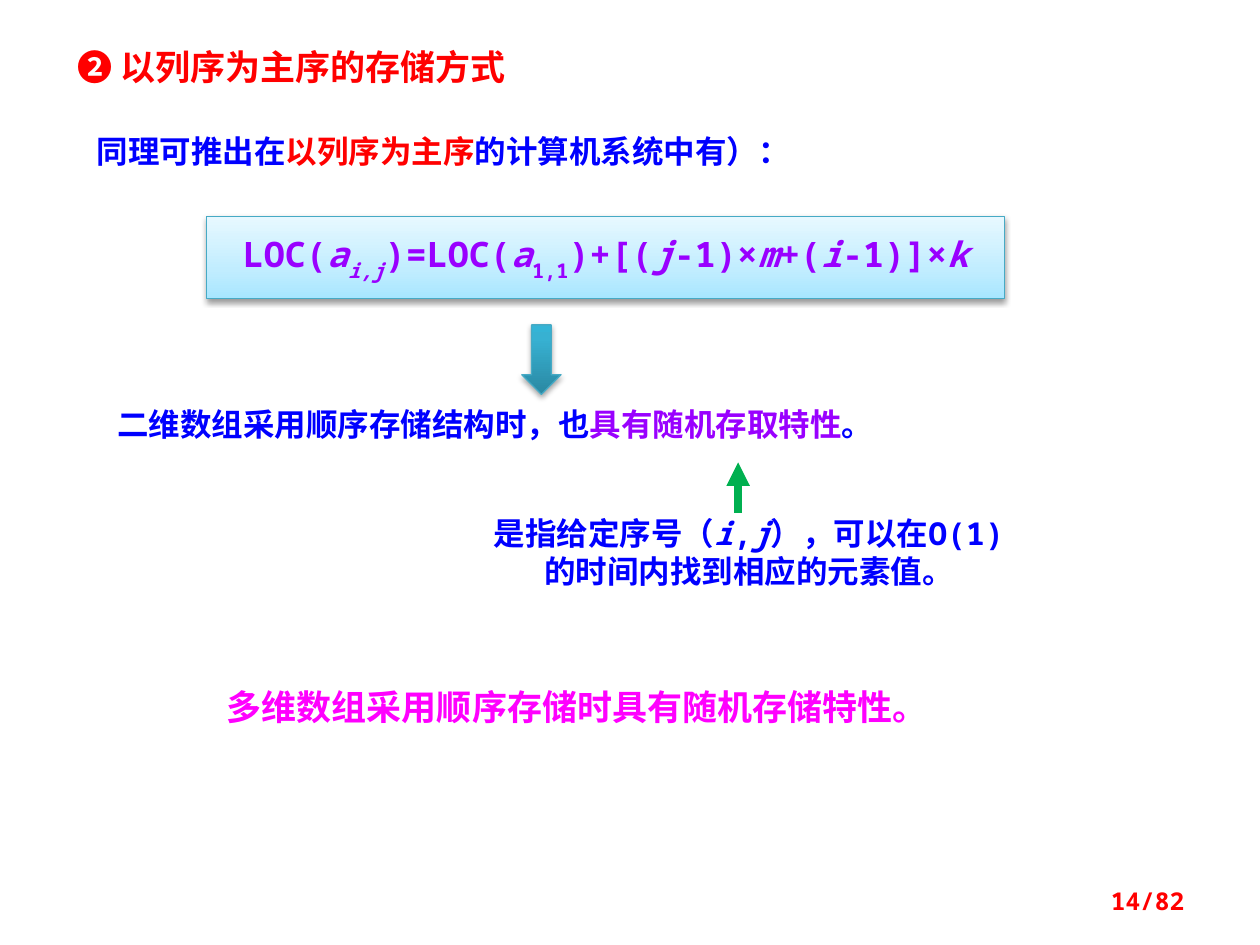
from lxml import etree
from pptx import Presentation
from pptx.dml.color import RGBColor
from pptx.enum import shapes, text
from pptx.oxml.ns import qn
from pptx.util import Cm, Pt

FONT = "Noto Sans Mono"
RED = RGBColor(0xFF, 0x00, 0x00)
BLUE = RGBColor(0x00, 0x00, 0xFF)
PURPLE = RGBColor(0x99, 0x00, 0xFF)
MAGENTA = RGBColor(0xFF, 0x00, 0xFF)
GREEN = RGBColor(0x00, 0xB0, 0x50)
TEAL = RGBColor(0x46, 0xAA, 0xC5)
LEFT, CENTER = text.PP_ALIGN.LEFT, text.PP_ALIGN.CENTER
RIGHT, JUSTIFY = text.PP_ALIGN.RIGHT, text.PP_ALIGN.JUSTIFY

# Content: runs are (text, style); a style is a colour, "italic", "sub" or both
TITLE = [("❷ 以列序为主序的存储方式", RED)]
FORMULA = [
    ("LOC(", ""), ("a", "italic"), ("i,j", "italic sub"), (")=LOC(", ""),
    ("a", "italic"), ("1,1", "sub"), (")+[(", ""), ("j", "italic"),
    ("-1)×", ""), ("m", "italic"), ("+(", ""), ("i", "italic"),
    ("-1)]×", ""), ("k", "italic"),
]
# Text boxes: (left, top, width, height in cm), size, colour, alignment, runs
TEXTS = [
    ((1.7, 2.39, 20.73, 1.09), 18, BLUE, JUSTIFY,
     [("同理可推出在", ""), ("以列序为主序", RED), ("的计算机系统中有）：", "")]),
    ((2.11, 8.05, 20.52, 1.02), 18, BLUE, LEFT,
     [("二维数组采用顺序存储结构时，也", ""), ("具有随机存取特性", PURPLE), ("。", "")]),
    ((9.53, 10.24, 11.13, 1.8), 18, BLUE, CENTER,
     [("是指给定序号（", ""), ("i", "italic"), (",", ""), ("j", "italic"),
      ("），可以在O(1)的时间内找到相应的元素值。", "")]),
    ((4.32, 13.69, 17.5, 1.12), 20, MAGENTA, LEFT,
     [("多维数组采用顺序存储时具有随机存储特性。", "")]),
    ((18.21, 17.65, 5.92, 1.02), 14, RED, RIGHT, [("14/82", "")]),
]
# Shaded shapes: gradient stops run from bottom to top
BOX_STOPS = [(0, "A7E6FF"), (35, "C1EDFF"), (100, "E7F8FF")]
ARROW_STOPS = [(0, "2A88A2"), (80, "37B1D2"), (100, "34B4D6")]


def write(shape, runs, size, color, alignment):
    frame = shape.text_frame
    frame.word_wrap = True
    frame.auto_size = text.MSO_AUTO_SIZE.NONE
    paragraph = frame.paragraphs[0]
    paragraph.alignment = alignment
    paragraph.font.name, paragraph.font.size = FONT, Pt(size)
    paragraph.font.bold, paragraph.font.color.rgb = True, color
    for words, style in runs:
        run = paragraph.add_run()
        run.text = words
        if isinstance(style, RGBColor):
            run.font.color.rgb = style
            continue
        if "italic" in style:
            run.font.italic = True
        if "sub" in style:
            run.font._element.set("baseline", "-30000")
    return paragraph


def add_color(parent, value):
    return etree.SubElement(parent, qn("a:srgbClr"), val=value)


def add_shaded(kind, place, stops, shadow_alpha, distance):
    shape = slide.shapes.add_shape(kind, *map(Cm, place))
    shape.fill.gradient()
    shape.fill.gradient_angle = 90
    stop_list = shape._element.spPr.find(".//" + qn("a:gsLst"))
    for stop in list(stop_list):
        stop_list.remove(stop)
    for position, value in stops:
        add_color(etree.SubElement(stop_list, qn("a:gs"), pos=str(position * 1000)), value)
    shape.line.color.rgb, shape.line.width = TEAL, Pt(0.75)
    shape.shadow.inherit = False
    shadow = etree.SubElement(
        shape._element.spPr.find(qn("a:effectLst")), qn("a:outerShdw"),
        blurRad="40000", dist=str(distance), dir="5400000", rotWithShape="0")
    etree.SubElement(add_color(shadow, "000000"), qn("a:alpha"), val=str(shadow_alpha * 1000))
    return shape


presentation = Presentation()
presentation.slide_width, presentation.slide_height = Cm(25.4), Cm(19.05)
slide = presentation.slides.add_slide(presentation.slide_layouts[5])

# Title
title = slide.shapes.title
title.left, title.top, title.width, title.height = map(Cm, (1.3, 0.79, 11.61, 1.12))
title.text_frame.vertical_anchor = text.MSO_ANCHOR.TOP
write(title, TITLE, 20, RED, LEFT)

# Formula box and the arrow below it
formula = add_shaded(shapes.MSO_SHAPE.RECTANGLE, (4.17, 4.37, 16.08, 1.65),
                     BOX_STOPS, 38, 20000)
formula.text_frame.vertical_anchor = text.MSO_ANCHOR.MIDDLE
write(formula, FORMULA, 20, PURPLE, CENTER)
add_shaded(shapes.MSO_SHAPE.DOWN_ARROW, (10.52, 6.55, 0.79, 1.4),
           ARROW_STOPS, 35, 23000)

# Text boxes
for place, size, color, alignment, runs in TEXTS:
    box = slide.shapes.add_textbox(*map(Cm, place))
    paragraph = write(box, runs, size, color, alignment)
    if alignment == JUSTIFY:
        paragraph.line_spacing = 1.2
    if alignment == RIGHT:
        box.text_frame.vertical_anchor = text.MSO_ANCHOR.MIDDLE

# Arrow from the explanation up to the statement
pointer = slide.shapes.add_connector(
    shapes.MSO_CONNECTOR.STRAIGHT, Cm(14.88), Cm(10.34), Cm(14.88), Cm(9.32))
pointer.line.color.rgb, pointer.line.width = GREEN, Pt(4.5)
etree.SubElement(pointer.line._get_or_add_ln(), qn("a:tailEnd"), type="triangle")
etree.SubElement(pointer._element.spPr, qn("a:effectLst"))

presentation.save("out.pptx")
